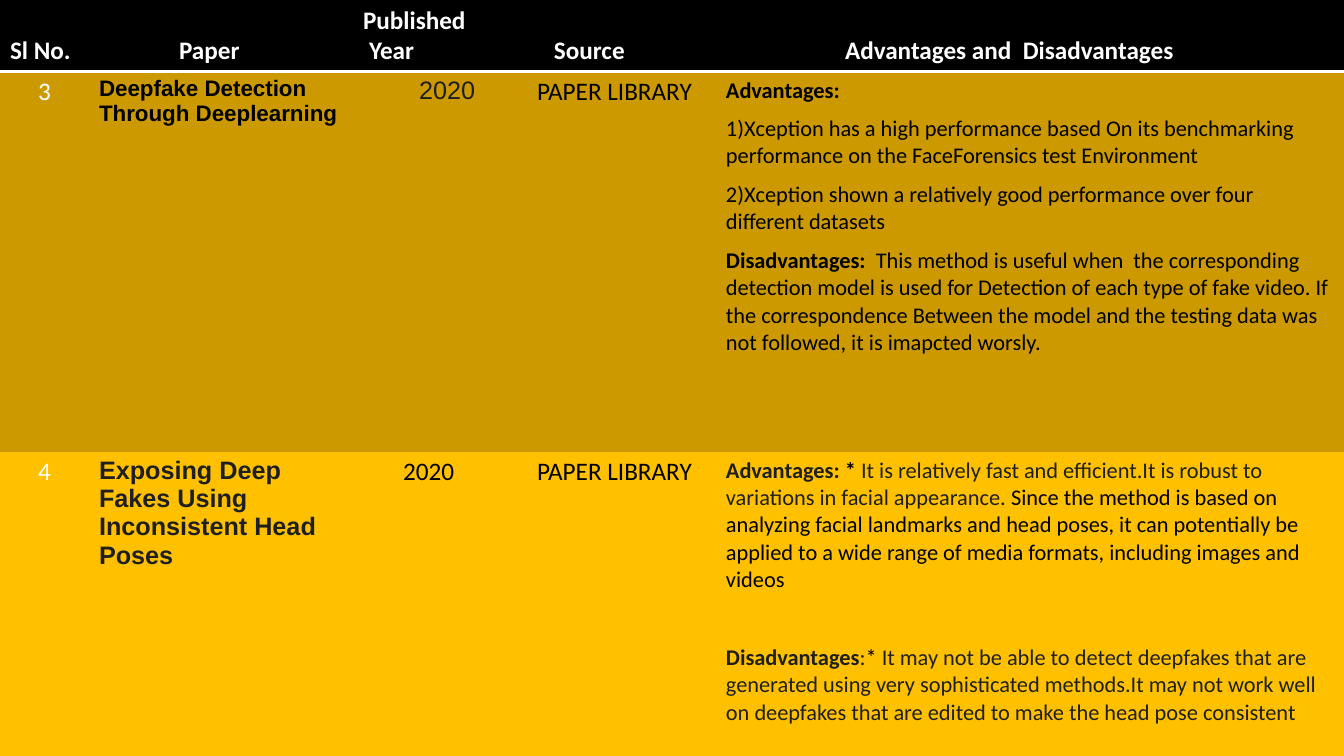
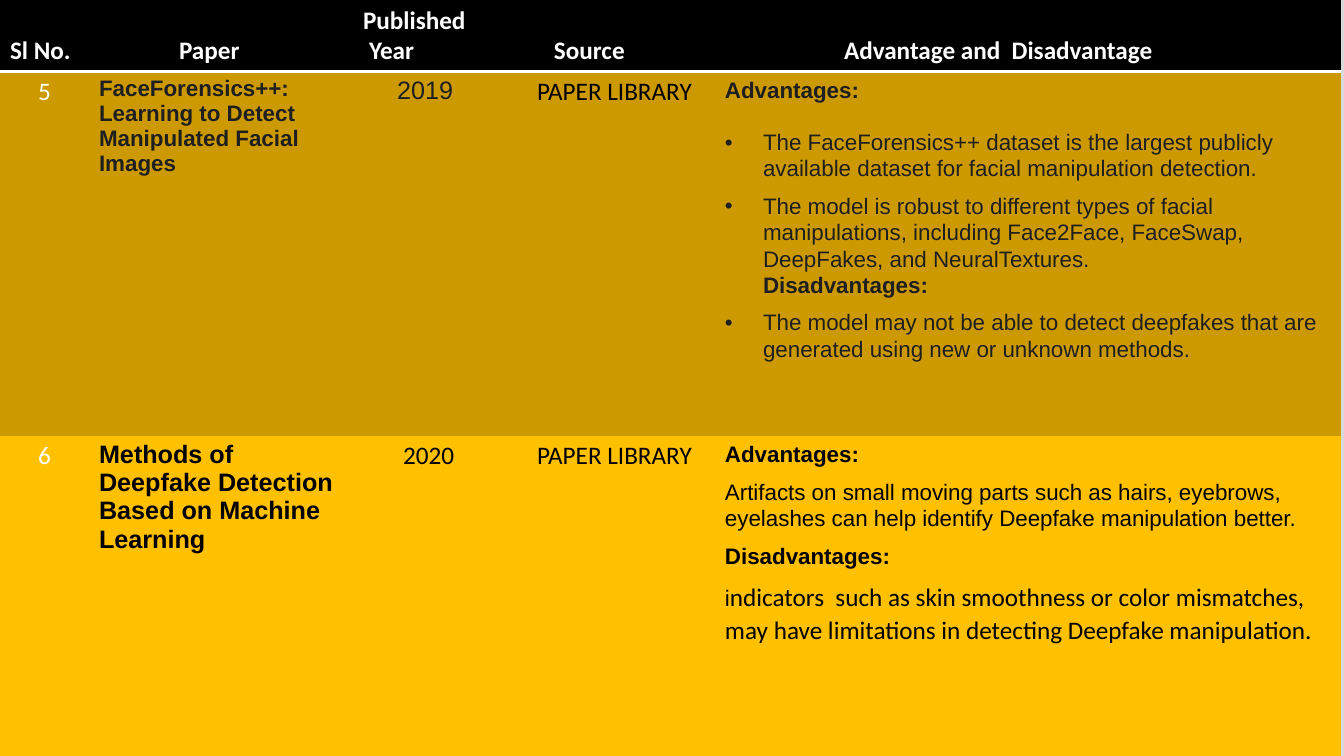
from dataclasses import dataclass

import pptx
import pptx.dml.color
import pptx.enum.shapes
import pptx.enum.text
import pptx.oxml.ns
import pptx.util
from lxml import etree

PX = 914400 / 100.8
SLIDE_WIDTH, SLIDE_HEIGHT = 1344, 756
NO_TABLE_STYLE = "{2D5ABB26-0587-4C30-8999-92F81FD0307C}"


@dataclass(frozen=True)
class Theme:
    black: str = "000000"
    white: str = "FFFFFF"
    ink: str = "1F1F1F"
    backdrop: str = "D9D9D9"
    row_fills: tuple = ("CC9A00", "FFC000")
    sans: str = "Calibri"
    display: str = "Arial"
    large: int = 18
    body: int = 16
    rule: int = 2


THEME = Theme()


@dataclass
class Line:
    """One paragraph: its runs as (text, format) pairs, with its spacing and indent."""
    runs: list
    before: float = 0
    spacing: float = 1
    left: int = 0
    first: int = 0
    bullet: bool = False


def px(length):
    return pptx.util.Emu(round(length * PX))


def rgb(value):
    return pptx.dml.color.RGBColor.from_string(value)


def child(parent, tag, **attributes):
    return etree.SubElement(parent, pptx.oxml.ns.qn(tag), attributes)


def add_text(paragraph, text, size=THEME.large, font=THEME.sans,
             color=THEME.black, bold=False):
    run = paragraph.add_run()
    run.text = text
    run.font.size = pptx.util.Pt(size)
    run.font.name = font
    run.font.color.rgb = rgb(color)
    run.font.bold = bold


def line(text, left=0, first=0, before=0, spacing=1, bullet=False, **style):
    """A paragraph with a single run."""
    return Line([(text, style)], before, spacing, left, first, bullet)


def fill_cell(cell, lines, fill):
    cell.fill.solid()
    cell.fill.fore_color.rgb = rgb(fill)
    frame = cell.text_frame
    for index, item in enumerate(lines):
        paragraph = frame.add_paragraph() if index else frame.paragraphs[0]
        paragraph.line_spacing = item.spacing
        paragraph.space_before = pptx.util.Pt(item.before)
        properties = paragraph._p.get_or_add_pPr()
        properties.set("marL", str(px(item.left)))
        properties.set("indent", str(px(item.first)))
        if item.bullet:
            child(properties, "a:buFont", typeface=THEME.display)
            child(properties, "a:buChar", char="•")
        for text, style in item.runs:
            add_text(paragraph, text, **style)


def add_bottom_rule(cell):
    properties = cell._tc.get_or_add_tcPr()
    border = child(properties, "a:lnB", w=str(pptx.util.Pt(THEME.rule)))
    child(child(border, "a:solidFill"), "a:srgbClr", val=THEME.white)
    properties.insert(0, border)


def add_backdrop(slide):
    shape = slide.shapes.add_shape(pptx.enum.shapes.MSO_SHAPE.RECTANGLE, 0, 0,
                                   px(SLIDE_WIDTH), px(SLIDE_HEIGHT))
    shape.shadow.inherit = False
    shape.fill.solid()
    shape.fill.fore_color.rgb = rgb(THEME.backdrop)
    shape.line.fill.background()


def write_header(table, last_heading):
    headings = [("Sl No.", 0, 0), ("Paper", 80, 0), ("Published Year", 6, -6),
                ("Source", 46, 0), (last_heading, 119, 0)]
    for column, (text, left, first) in enumerate(headings):
        cell = table.cell(0, column)
        cell.vertical_anchor = pptx.enum.text.MSO_ANCHOR.BOTTOM
        heading = line(text, left, first, color=THEME.white, bold=True)
        fill_cell(cell, [heading], THEME.black)
        add_bottom_rule(cell)


def write_paper(table, row, number, paper, year, review):
    cells = [[line(number, left=28, color=THEME.white)], [paper], [year],
             [line("PAPER LIBRARY", left=29)], review]
    for column, lines in enumerate(cells):
        fill_cell(table.cell(row, column), lines, THEME.row_fills[row - 1])


def add_survey_slide(presentation, columns, rows, last_heading, papers):
    slide = presentation.slides.add_slide(presentation.slide_layouts[6])
    add_backdrop(slide)
    frame = slide.shapes.add_table(len(rows), len(columns), 0, 0,
                                   px(sum(columns)), px(sum(rows)))
    table = frame.table
    table._tbl.tblPr.find(pptx.oxml.ns.qn("a:tableStyleId")).text = NO_TABLE_STYLE
    for column, width in zip(table.columns, columns):
        column.width = px(width)
    for row, height in zip(table.rows, rows):
        row.height = px(height)
    write_header(table, last_heading)
    for row, paper in enumerate(papers, 1):
        write_paper(table, row, *paper)


PLAIN = dict(size=THEME.body)
STRONG = dict(PLAIN, bold=True)
INK = dict(PLAIN, color=THEME.ink)
INK_STRONG = dict(INK, bold=True)
ARIAL = dict(PLAIN, font=THEME.display)
ARIAL_STRONG = dict(ARIAL, bold=True)
ARIAL_INK = dict(ARIAL, color=THEME.ink)
ARIAL_INK_STRONG = dict(ARIAL_INK, bold=True)
LARGE_STRONG = dict(font=THEME.display, bold=True)
YEAR_INK = dict(font=THEME.display, color=THEME.ink)
LOOSE = dict(before=8, spacing=1.07)
BULLET = dict(ARIAL_INK, left=38, first=-38, spacing=1.07, bullet=True)

FIRST_PAPERS = [
    ("3",
     line("Deepfake Detection Through Deeplearning", **ARIAL_STRONG),
     line("2020", left=56, **YEAR_INK),
     [line("Advantages:", **STRONG),
      line("1)Xception has a high performance based On its benchmarking "
           "performance on the FaceForensics test Environment", before=8, **PLAIN),
      line("2)Xception shown a relatively good performance over four "
           "different datasets", before=8, **PLAIN),
      Line([("Disadvantages:  ", STRONG),
            ("This method is useful when  the corresponding detection model is "
             "used for Detection of each type of fake video. If the "
             "correspondence Between the model and the testing data was not "
             "followed, it is imapcted worsly.", PLAIN)], before=8)]),
    ("4",
     line("Exposing Deep Fakes Using Inconsistent Head Poses",
          color=THEME.ink, **LARGE_STRONG),
     line("2020", left=40),
     [Line([("Advantages: ", INK_STRONG), ("* ", STRONG),
            ("It is relatively fast and efficient.It is robust to variations "
             "in facial appearance. ", INK),
            ("Since the method is based on analyzing facial landmarks and head "
             "poses, it can potentially be applied to a wide range of media "
             "formats, including images and videos", PLAIN)]),
      Line([("Disadvantages", INK_STRONG), (":", INK), ("* ", PLAIN),
            ("It may not be able to detect deepfakes that are generated using "
             "very sophisticated methods.It may not work well on deepfakes "
             "that are edited to make the head pose consistent", INK)],
           before=36)]),
]

SECOND_PAPERS = [
    ("5",
     line("FaceForensics++: Learning to Detect Manipulated Facial Images",
          **ARIAL_INK_STRONG),
     line("2019", left=34, **YEAR_INK),
     [line("Advantages:", spacing=1.07, **ARIAL_INK_STRONG),
      line("The FaceForensics++ dataset is the largest publicly available "
           "dataset for facial manipulation detection.", before=18, **BULLET),
      line("The model is robust to different types of facial manipulations, "
           "including Face2Face, FaceSwap, DeepFakes, and NeuralTextures.",
           before=7.5, **BULLET),
      line("Disadvantages:", left=38, spacing=1.07, **ARIAL_INK_STRONG),
      line("The model may not be able to detect deepfakes that are generated "
           "using new or unknown methods.", before=7.5, **BULLET)]),
    ("6",
     line("Methods of Deepfake Detection Based on Machine Learning",
          **LARGE_STRONG),
     line("2020", left=40),
     [line("Advantages:", spacing=1.07, **ARIAL_STRONG),
      line("Artifacts on small moving parts such as hairs, eyebrows, eyelashes "
           "can help identify Deepfake manipulation better.", **LOOSE, **ARIAL),
      line("Disadvantages:", **LOOSE, **ARIAL_STRONG),
      Line([("i", ARIAL),
            ("ndicators  such as skin smoothness or color mismatches, may have "
             "limitations in detecting Deepfake manipulation.", {})], **LOOSE)]),
]


def main():
    presentation = pptx.Presentation()
    presentation.slide_width = px(SLIDE_WIDTH)
    presentation.slide_height = px(SLIDE_HEIGHT)
    add_survey_slide(presentation, [89, 264, 145, 218, 628], [71, 380, 305],
                     "Advantages and  Disadvantages", FIRST_PAPERS)
    add_survey_slide(presentation, [89, 264, 145, 217, 626], [71, 364, 321],
                     "Advantage and  Disadvantage", SECOND_PAPERS)
    presentation.save("out.pptx")


if __name__ == "__main__":
    main()
